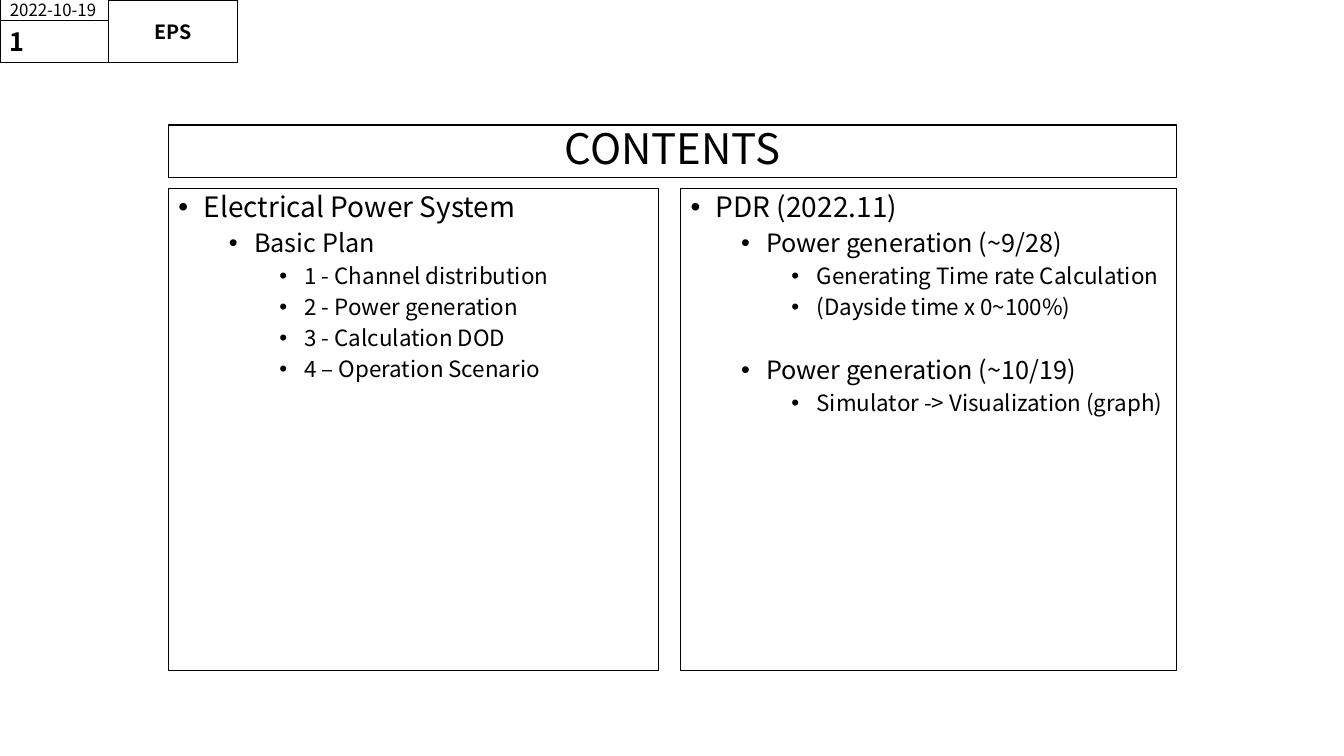
from dataclasses import dataclass

from lxml import etree
from pptx import Presentation
from pptx import util as u
from pptx.dml.color import RGBColor
from pptx.enum import shapes, text
from pptx.oxml import ns

EMU_PER_PX = 9144  # 100 px to the inch


def px(length):
    return u.Emu(length * EMU_PER_PX)


@dataclass(frozen=True)
class Theme:
    font: str = "Noto Sans CJK KR"
    ink: RGBColor = RGBColor(0, 0, 0)
    line_width: float = 0.75
    title: int = 30
    date: int = 12
    label: int = 14
    number: int = 18
    levels: tuple = (20, 18, 16)


class SlideBuilder:
    def __init__(self, deck, theme):
        self.theme = theme
        self.slide = deck.slides.add_slide(deck.slide_layouts.get_by_name("Two Content"))

    def frame(self, box, area, anchor, insets=(10, 5)):
        """Place and outline a box, and prepare its text frame."""
        box.left, box.top, box.width, box.height = map(px, area)
        box.fill.background()
        box.line.color.rgb = self.theme.ink
        box.line.width = u.Pt(self.theme.line_width)
        frame = box.text_frame
        frame.word_wrap = True
        frame.auto_size = text.MSO_AUTO_SIZE.NONE
        frame.vertical_anchor = anchor
        frame.margin_left = frame.margin_right = px(insets[0])
        frame.margin_top = frame.margin_bottom = px(insets[1])
        return frame

    def style(self, para, size, bold=False, align=text.PP_ALIGN.LEFT):
        para.alignment = align
        font = para.font
        font.name, font.size, font.bold = self.theme.font, u.Pt(size), bold
        font.color.rgb = self.theme.ink

    def title(self, words, area):
        frame = self.frame(self.slide.shapes.title, area, text.MSO_ANCHOR.MIDDLE, (10, 0))
        para = frame.paragraphs[0]
        para.text = words
        para.line_spacing = 0.9
        self.style(para, self.theme.title, align=text.PP_ALIGN.CENTER)

    def cell(self, words, area, size, bold=True, align=text.PP_ALIGN.LEFT, insets=(10, 5)):
        box = self.slide.shapes.add_shape(shapes.MSO_SHAPE.RECTANGLE, *map(px, area))
        box.shadow.inherit = False
        para = self.frame(box, area, text.MSO_ANCHOR.MIDDLE, insets).paragraphs[0]
        para.text = words
        self.style(para, size, bold, align)

    def bullets(self, index, area, items):
        """Fill a body placeholder with (level, words, space before) items."""
        frame = self.frame(self.slide.placeholders[index], area, text.MSO_ANCHOR.TOP)
        for number, (level, words, space) in enumerate(items):
            para = frame.add_paragraph() if number else frame.paragraphs[0]
            para.text = words
            para.level = level
            para.line_spacing = 0.9
            para.space_before = u.Pt(space)
            props = para._p.get_or_add_pPr()
            props.set("marL", str(px(25 + 50 * level)))
            props.set("indent", str(px(-25)))
            etree.SubElement(props, ns.qn("a:buFont")).set("typeface", "Arial")
            etree.SubElement(props, ns.qn("a:buChar")).set("char", "•")
            self.style(para, self.theme.levels[level])


def main():
    deck = Presentation()
    deck.slide_width, deck.slide_height = px(1333), px(750)
    theme = Theme()
    page = SlideBuilder(deck, theme)

    page.title("CONTENTS", (167, 124, 1000, 52))
    page.cell("2022-10-19", (0, 0, 108, 20), theme.date, bold=False)
    page.cell("EPS", (108, 0, 128, 62), theme.label,
              align=text.PP_ALIGN.CENTER, insets=(0, 0))
    page.cell("1", (0, 20, 108, 42), theme.number)

    page.bullets(1, (167, 187, 486, 478), [
        (0, "Electrical Power System", 0),
        (1, "Basic Plan", 5),
        (2, "1 - Channel distribution", 5),
        (2, "2 - Power generation", 5),
        (2, "3 - Calculation DOD", 5),
        (2, "4 – Operation Scenario", 5),
    ])
    page.bullets(2, (675, 187, 492, 478), [
        (0, "PDR (2022.11)", 0),
        (1, "Power generation (~9/28)", 5),
        (2, "Generating Time rate Calculation", 5),
        (2, "(Dayside time x 0~100%)", 5),
        (1, "Power generation (~10/19)", 27),
        (2, "Simulator -> Visualization (graph)", 5),
    ])
    deck.save("out.pptx")


if __name__ == "__main__":
    main()
